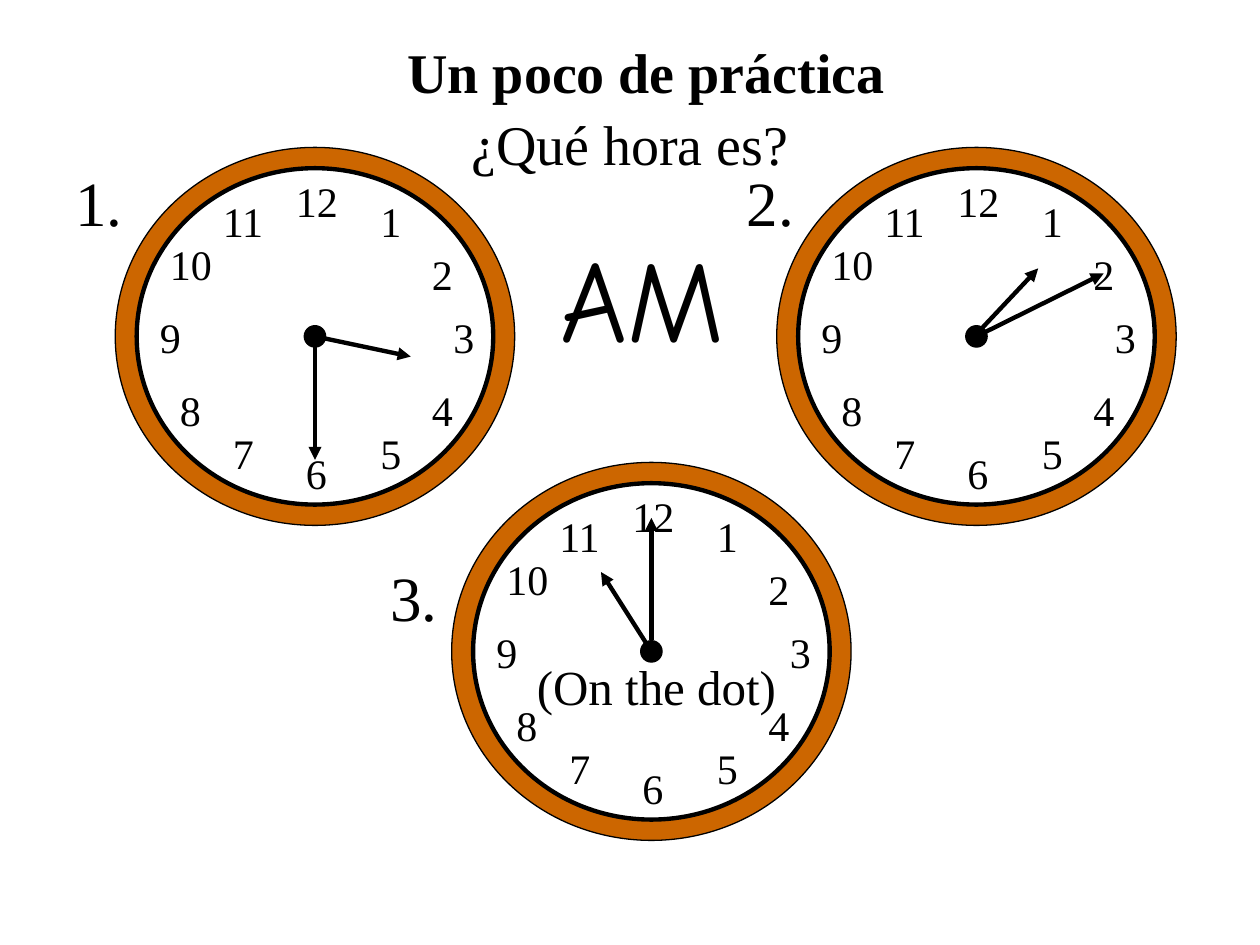
from pptx import Presentation
from pptx.dml.color import RGBColor
from pptx.enum.shapes import MSO_CONNECTOR as Connector, MSO_SHAPE as Shape
from pptx.enum.text import MSO_ANCHOR as Anchor, MSO_AUTO_SIZE as AutoSize, PP_ALIGN as Align
from pptx.oxml.ns import qn
from pptx.util import Inches, Pt
from lxml.etree import SubElement

COLORS = {"ink": "000000", "rim": "CC6600", "face": "FFFFFF"}

HOUR_OFFSETS = {
    12: (0.04, -1.08), 1: (0.63, -0.92), 2: (1.04, -0.5), 3: (1.21, 0),
    4: (1.04, 0.58), 5: (0.63, 0.92), 6: (0.04, 1.08), 7: (-0.54, 0.92),
    8: (-0.96, 0.58), 9: (-1.12, 0), 10: (-0.96, -0.58), 11: (-0.54, -0.92),
}

CLOCKS = [
    ((2.5, 2.67), [((0, -0.09), (0, 0.98)), ((0, 0), (0.76, 0.16))]),
    ((7.75, 2.67), [((0.02, -0.01), (1.01, -0.5)), ((0.02, -0.04), (0.49, -0.54))]),
    ((5.17, 5.17), [((0, -0.09), (0, -1.06)), ((0, 0), (-0.4, -0.63))]),
]

QUESTION_NUMBERS = [("1.", 0.5, 1.25), ("2.", 5.83, 1.25), ("3.", 3, 4.38)]


class ClockSlide:
    """Draws clocks and text on one slide in a shared style."""

    def __init__(self, presentation):
        self.slide = presentation.slides.add_slide(presentation.slide_layouts[0])
        self.font = "Times New Roman"

    def color(self, name):
        return RGBColor.from_string(COLORS[name])

    def set_text(self, shape, text, size, font=None, bold=False, align=Align.LEFT, spacing=1.0):
        frame = shape.text_frame
        frame.word_wrap = True
        frame.auto_size = AutoSize.NONE
        frame.vertical_anchor = Anchor.TOP
        frame.text = text
        paragraph = frame.paragraphs[0]
        paragraph.alignment = align
        paragraph.line_spacing = spacing
        paragraph.space_before = Pt(0)
        paragraph.font.name = font or self.font
        paragraph.font.size = Pt(size)
        paragraph.font.bold = bold
        paragraph.font.color.rgb = self.color("ink")

    def placeholder(self, index, box, text, size, **style):
        shape = self.slide.placeholders[index]
        shape.left, shape.top, shape.width, shape.height = map(Inches, box)
        self.set_text(shape, text, size, **style)

    def text(self, box, text, size, parent=None, **style):
        shapes = (parent or self.slide).shapes
        self.set_text(shapes.add_textbox(*map(Inches, box)), text, size, **style)

    def ellipse(self, group, center, width, height, fill, line_width):
        x, y = center
        box = (x - width / 2, y - height / 2, width, height)
        shape = group.shapes.add_shape(Shape.OVAL, *map(Inches, box))
        shape.shadow.inherit = False
        shape.fill.solid()
        shape.fill.fore_color.rgb = self.color(fill)
        shape.line.color.rgb = self.color("ink")
        shape.line.width = Pt(line_width)

    def hand(self, group, center, start, end):
        x, y = center
        points = (x + start[0], y + start[1], x + end[0], y + end[1])
        connector = group.shapes.add_connector(Connector.STRAIGHT, *map(Inches, points))
        connector.line.color.rgb = self.color("ink")
        connector.line.width = Pt(2.5)
        properties = connector._element.spPr
        SubElement(properties.find(qn("a:ln")), qn("a:tailEnd"), type="triangle")
        SubElement(properties, qn("a:effectLst"))

    def clock(self, center, hands):
        group = self.slide.shapes.add_group_shape()
        self.ellipse(group, center, 3.17, 3, "rim", 0.75)
        self.ellipse(group, center, 2.83, 2.67, "face", 2.5)
        for hour, (dx, dy) in HOUR_OFFSETS.items():
            width = 0.58 if hour >= 10 else 0.42
            box = (center[0] + dx - width / 2, center[1] + dy - 0.25, width, 0.5)
            self.text(box, str(hour), 24, parent=group)
        self.ellipse(group, center, 0.17, 0.17, "ink", 0.75)
        for start, end in hands:
            self.hand(group, center, start, end)
        return group


def main():
    presentation = Presentation()
    presentation.slide_width = Inches(10)
    presentation.slide_height = Inches(7.5)
    page = ClockSlide(presentation)
    page.placeholder(0, (2.17, 0.25, 5.92, 0.64), "Un poco de práctica", 32,
                     bold=True, align=Align.CENTER)
    page.placeholder(1, (2, 0.92, 6, 0.67), "¿Qué hora es?", 32,
                     align=Align.CENTER, spacing=0.8)
    for number, left, top in QUESTION_NUMBERS:
        page.text((left, top, 0.75, 0.7), number, 36)
    page.text((4.35, 1.75, 2.17, 1.33), "AM", 66, font="Comic Neue")
    for center, hands in CLOCKS:
        group = page.clock(center, hands)
    page.text((3.92, 5.25, 2.58, 0.67), "(On the dot)", 28, parent=group,
              align=Align.CENTER, spacing=0.8)
    presentation.save("out.pptx")


if __name__ == "__main__":
    main()
